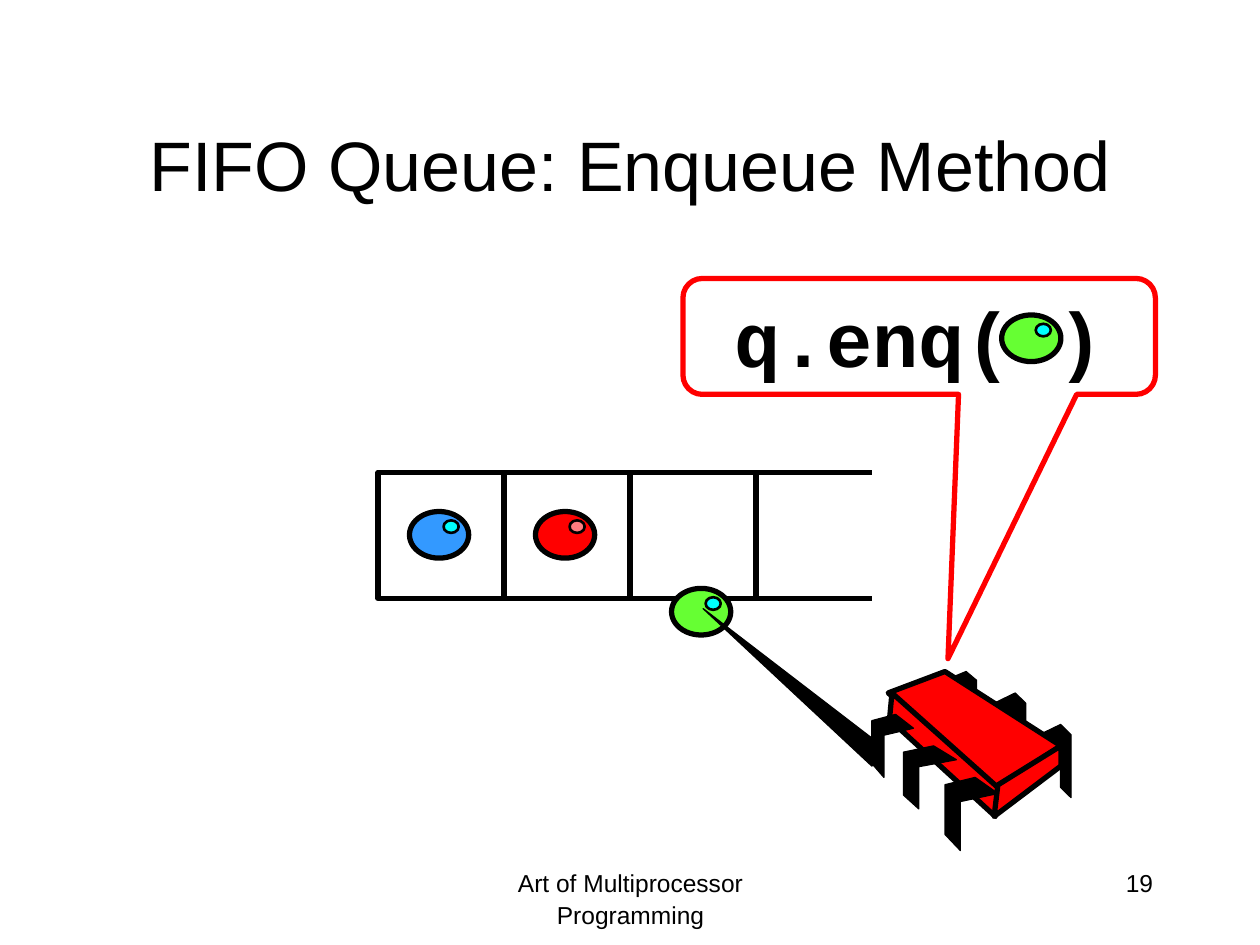
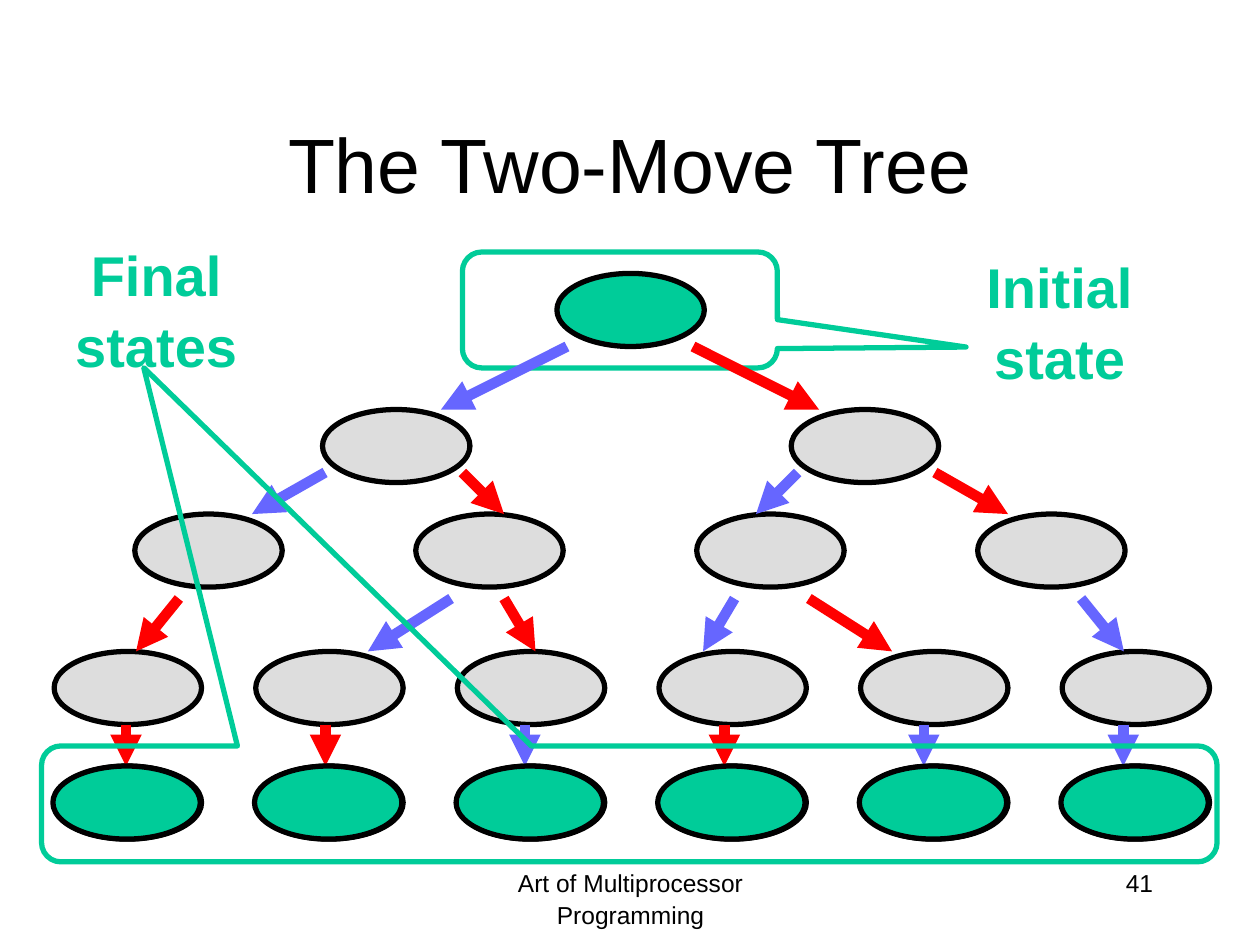
from lxml import etree
from pptx import Presentation
from pptx.dml.color import RGBColor
from pptx.enum.shapes import MSO_CONNECTOR, MSO_SHAPE
from pptx.enum.text import MSO_ANCHOR, PP_ALIGN
from pptx.oxml.ns import qn
from pptx.util import Inches, Pt

BLACK = RGBColor(0x00, 0x00, 0x00)
RED = RGBColor(0xFF, 0x00, 0x00)
PINK = RGBColor(0xFF, 0x7C, 0x80)
BLUE = RGBColor(0x33, 0x99, 0xFF)
CYAN = RGBColor(0x00, 0xFF, 0xFF)
LIME = RGBColor(0x66, 0xFF, 0x33)
VIOLET = RGBColor(0x66, 0x66, 0xFF)
GREEN = RGBColor(0x00, 0xCC, 0x99)
GRAY = RGBColor(0xDD, 0xDD, 0xDD)

SANS = "Arial"
MONO = "Courier New"
FOOTER = "Art of Multiprocessor Programming"
LINE_SPACING = 1.06

BACK_LEG = [(0, 0.14), (0.67, 0), (1, 0.14), (1, 1), (0.67, 0.86), (0.67, 0.29), (0, 0.43)]
FRONT_LEG = [(0.57, 0), (1, 0.22), (0.29, 0.33), (0.29, 1), (0, 0.78), (0, 0.1)]
BACK_LEG_BOXES = [(1.33, 0.42, 0.25, 0.58), (0.97, 0.17, 0.25, 0.58), (0.58, 0, 0.25, 0.5)]
FRONT_LEG_BOXES = [(0.58, 0.84, 0.42, 0.58), (0.25, 0.59, 0.42, 0.5), (0, 0.34, 0.33, 0.5)]
CHIP_FACES = [
    [(0.58, 0), (1.5, 0.59), (0.98, 0.93), (0.13, 0.17)],
    [(0.16, 0.17), (1, 0.92), (0.98, 1.15), (0.14, 0.38)],
    [(1.5, 0.59), (1.5, 0.75), (0.97, 1.15), (1, 0.9)],
]

NODE_WIDTH, NODE_HEIGHT = 1.17, 0.58
NODE_ROWS = [
    (2.56, 3.25, 3.72, 2),
    (1.07, 4.08, 2.23, 4),
    (0.43, 5.17, 1.6, 6),
    (0.43, 6.08, 1.6, 6),
]
ROOT_MOVES = [(4.5, 3.5, VIOLET), (5.5, 6.5, RED)]
MOVES = [
    (3.75, 4.08, [(2.58, 2, VIOLET), (3.67, 4, RED), (6.33, 6, VIOLET), (7.42, 8, RED)]),
    (4.75, 5.17, [(1.42, 1.08, RED), (3.58, 2.92, VIOLET), (4, 4.25, RED),
                  (5.83, 5.58, VIOLET), (6.42, 7.08, RED), (8.58, 8.92, VIOLET)]),
    (5.75, 6.08, [(1 + 1.583 * i, 1 + 1.583 * i, color)
                  for i, color in enumerate([RED, RED, VIOLET, RED, VIOLET, VIOLET])]),
]


def inches(*lengths):
    return [Inches(length) for length in lengths]


def paint(shape, fill, line, weight):
    shape.shadow.inherit = False
    if fill is None:
        shape.fill.background()
    else:
        shape.fill.solid()
        shape.fill.fore_color.rgb = fill
    shape.line.color.rgb = line
    shape.line.width = Pt(weight)


def write(frame, text, size, color=BLACK, font=SANS, bold=False, align=PP_ALIGN.CENTER):
    frame.word_wrap = True
    frame.text = text
    paragraph = frame.paragraphs[0]
    paragraph.alignment = align
    for run in paragraph.runs:
        run.font.name = font
        run.font.size = Pt(size)
        run.font.bold = bold
        run.font.color.rgb = color


def add_label(slide, box, text, size, **style):
    frame = slide.shapes.add_textbox(*inches(*box)).text_frame
    write(frame, text, size, **style)
    frame.paragraphs[0].line_spacing = LINE_SPACING


def add_preset(shapes, preset, box, fill=None, line=BLACK, weight=3):
    shape = shapes.add_shape(preset, *inches(*box))
    paint(shape, fill, line, weight)
    return shape


def add_callout(slide, box, tip, color):
    callout = add_preset(slide.shapes, MSO_SHAPE.ROUNDED_RECTANGULAR_CALLOUT, box, line=color)
    for index, value in enumerate((*tip, 0.167)):
        callout.adjustments[index] = value
    return callout


def add_outline(shapes, points, fill, weight):
    start, *rest = [inches(*point) for point in points]
    builder = shapes.build_freeform(*start)
    builder.add_line_segments(rest, close=True)
    paint(builder.convert_to_shape(), fill, BLACK, weight)


def add_line(slide, start, end, color=BLACK, weight=3, arrow=False):
    line = slide.shapes.add_connector(MSO_CONNECTOR.STRAIGHT, *inches(*start, *end))
    line.line.color.rgb = color
    line.line.width = Pt(weight)
    properties = line._element.spPr
    if arrow:
        etree.SubElement(properties.find(qn("a:ln")), qn("a:tailEnd"), type="triangle")
    etree.SubElement(properties, qn("a:effectLst"))


def add_moves(slide, top, bottom, moves):
    for start, end, color in moves:
        add_line(slide, (start, top), (end, bottom), color, 6, arrow=True)


def add_node(slide, left, top, fill):
    add_preset(slide.shapes, MSO_SHAPE.OVAL, (left, top, NODE_WIDTH, NODE_HEIGHT), fill)


def add_marble(slide, left, top, color, shine):
    shapes = slide.shapes.add_group_shape().shapes
    add_preset(shapes, MSO_SHAPE.OVAL, (left, top, 0.47, 0.37), color)
    add_preset(shapes, MSO_SHAPE.OVAL, (left + 0.27, top + 0.07, 0.12, 0.1), shine, weight=1.5)


def add_chip(slide, left, top):
    shapes = slide.shapes.add_group_shape().shapes

    def add_legs(boxes, leg):
        for x, y, width, height in boxes:
            points = [(left + x + u * width, top + y + v * height) for u, v in leg]
            add_outline(shapes, points, BLACK, 0.75)

    add_legs(BACK_LEG_BOXES, BACK_LEG)
    for face in CHIP_FACES:
        add_outline(shapes, [(left + x, top + y) for x, y in face], RED, 3)
    add_legs(FRONT_LEG_BOXES, FRONT_LEG)


def add_queue(slide, left, top, size=1, cells=3):
    for index in range(cells):
        add_preset(slide.shapes, MSO_SHAPE.RECTANGLE, (left + index * size, top, size, size))
    opening = left + cells * size - 0.08
    for y in (top, top + size):
        add_line(slide, (opening, y), (opening + size, y))
    for index, (color, shine) in enumerate([(BLUE, CYAN), (RED, PINK)]):
        add_marble(slide, left + index * size + 0.25, top + 0.31, color, shine)


def add_call(slide, left, top):
    callout = add_callout(slide, (left, top, 3.75, 0.92), (0.061, 2.78), RED)
    callout.text_frame.vertical_anchor = MSO_ANCHOR.MIDDLE
    write(callout.text_frame, "q.enq( )", 44, font=MONO, bold=True)
    add_marble(slide, left + 2.53, top + 0.29, LIME, CYAN)


def start_slide(deck, title, title_size, number):
    slide = deck.slides.add_slide(deck.slide_layouts[5])
    heading = slide.shapes.title
    heading.left, heading.top, heading.width, heading.height = inches(0.75, 0.67, 8.5, 1.25)
    heading.text_frame.vertical_anchor = MSO_ANCHOR.MIDDLE
    write(heading.text_frame, title, title_size)
    add_label(slide, (3.42, 6.83, 3.17, 0.5), FOOTER, 14)
    add_label(slide, (7.17, 6.83, 2.08, 0.5), number, 14, align=PP_ALIGN.RIGHT)
    return slide


def build_enqueue_slide(deck):
    slide = start_slide(deck, "FIFO Queue: Enqueue Method", 40, "19")
    add_queue(slide, 3, 3.75)
    add_marble(slide, 5.33, 4.67, LIME, CYAN)
    add_chip(slide, 6.92, 5.33)
    add_outline(slide.shapes, [(6.92, 6.08), (7, 5.92), (5.58, 4.83)], BLACK, 0.75)
    add_call(slide, 5.42, 2.21)


def build_tree_slide(deck):
    slide = start_slide(deck, "The Two-Move Tree", 44, "41")
    for left, top, pitch, count in NODE_ROWS:
        for index in range(count):
            add_node(slide, left + index * pitch, top, GRAY)
    for top, bottom, moves in MOVES:
        add_moves(slide, top, bottom, moves)
    add_callout(slide, (3.67, 2, 2.5, 0.92), (1.099, 0.32), GREEN)
    add_label(slide, (7.42, 1.92, 1.98, 1.17), "Initial state", 32, color=GREEN, bold=True)
    add_callout(slide, (0.33, 5.92, 9.33, 0.92), (-0.413, -3.763), GREEN)
    add_label(slide, (0.25, 1.83, 1.98, 1.17), "Final states", 32, color=GREEN, bold=True)
    add_node(slide, 4.42, 2.17, GREEN)
    for index in range(6):
        add_node(slide, 0.42 + index * 1.6, 6.08, GREEN)
    add_moves(slide, 2.75, 3.25, ROOT_MOVES)


def main():
    deck = Presentation()
    deck.slide_width, deck.slide_height = inches(10, 7.5)
    build_enqueue_slide(deck)
    build_tree_slide(deck)
    deck.save("out.pptx")


if __name__ == "__main__":
    main()
